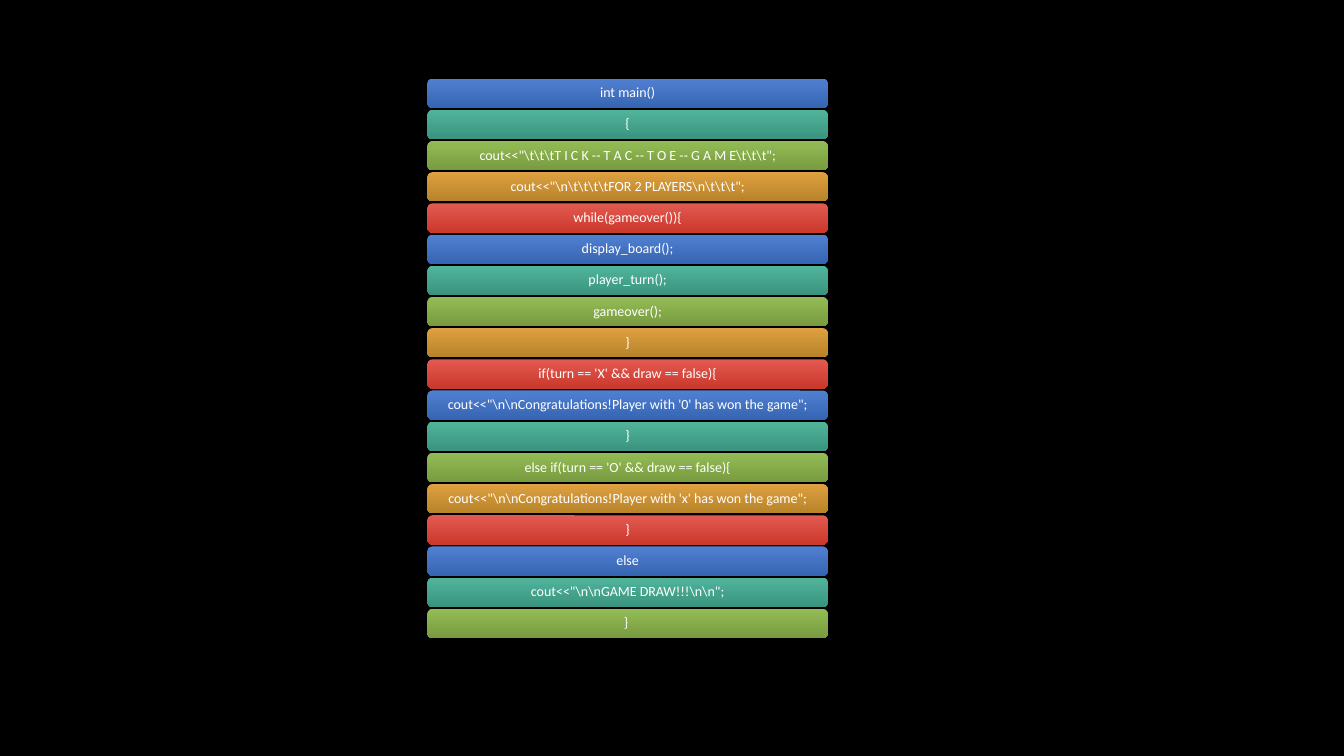
from dataclasses import dataclass

from pptx import Presentation
from pptx.dml.color import RGBColor
from pptx.enum.shapes import MSO_SHAPE
from pptx.enum.text import MSO_ANCHOR, PP_ALIGN
from pptx.util import Inches, Pt


@dataclass(frozen=True)
class Theme:
    back: str = "000000"
    ink: str = "FFFFFF"
    font: str = "Calibri"
    size: int = 10
    # Top and bottom colour of each bar, used in turn
    fades: tuple = (
        ("5180D2", "3665B3"),
        ("50B49B", "3A947F"),
        ("93BC55", "789B3F"),
        ("DEA040", "B88329"),
        ("E35A51", "CB382C"),
    )


THEME = Theme()

CODE = (
    "int main()",
    "{",
    r'cout<<"\t\t\tT I C K -- T A C -- T O E -- G A M E\t\t\t";',
    r'cout<<"\n\t\t\t\tFOR 2 PLAYERS\n\t\t\t";',
    "while(gameover()){",
    "display_board();",
    "player_turn();",
    "gameover();",
    "}",
    "if(turn == 'X' && draw == false){",
    r'''cout<<"\n\nCongratulations!Player with '0' has won the game";''',
    "}",
    "else if(turn == 'O' && draw == false){",
    r'''cout<<"\n\nCongratulations!Player with 'x' has won the game";''',
    "}",
    "else",
    r'cout<<"\n\nGAME DRAW!!!\n\n";',
    "} ",
)

# Stack of bars, in inches
LEFT, WIDTH, HEIGHT = 4.24, 3.97, 0.29
FIRST, LAST = 0.78, 6.04


def color(code):
    return RGBColor.from_string(code)


def paint(slide):
    fill = slide.background.fill
    fill.solid()
    fill.fore_color.rgb = color(THEME.back)


def shade(shape, fade):
    shape.fill.gradient()
    shape.fill.gradient_angle = 270
    for stop, code in zip(shape.fill.gradient_stops, fade):
        stop.color.rgb = color(code)


def write(shape, text):
    frame = shape.text_frame
    frame.word_wrap = True
    frame.vertical_anchor = MSO_ANCHOR.MIDDLE
    frame.margin_left = frame.margin_right = Inches(0.05)
    frame.margin_top = frame.margin_bottom = Inches(0.03)
    line = frame.paragraphs[0]
    line.text = text
    line.alignment = PP_ALIGN.CENTER
    line.line_spacing = 0.9
    line.font.name = THEME.font
    line.font.size = Pt(THEME.size)
    line.font.color.rgb = color(THEME.ink)


def add_bar(shapes, top, text, fade):
    bar = shapes.add_shape(
        MSO_SHAPE.ROUNDED_RECTANGLE,
        Inches(LEFT), Inches(top), Inches(WIDTH), Inches(HEIGHT),
    )
    bar.shadow.inherit = False
    bar.line.fill.background()
    shade(bar, fade)
    write(bar, text)


def main():
    deck = Presentation()
    deck.slide_width, deck.slide_height = Inches(13.33), Inches(7.5)
    slide = deck.slides.add_slide(deck.slide_layouts[6])
    paint(slide)

    # One bar per line of code, evenly spaced
    stack = slide.shapes.add_group_shape().shapes
    step = (LAST - FIRST) / (len(CODE) - 1)
    for row, text in enumerate(CODE):
        fade = THEME.fades[row % len(THEME.fades)]
        add_bar(stack, FIRST + row * step, text, fade)

    deck.save("out.pptx")


main()
